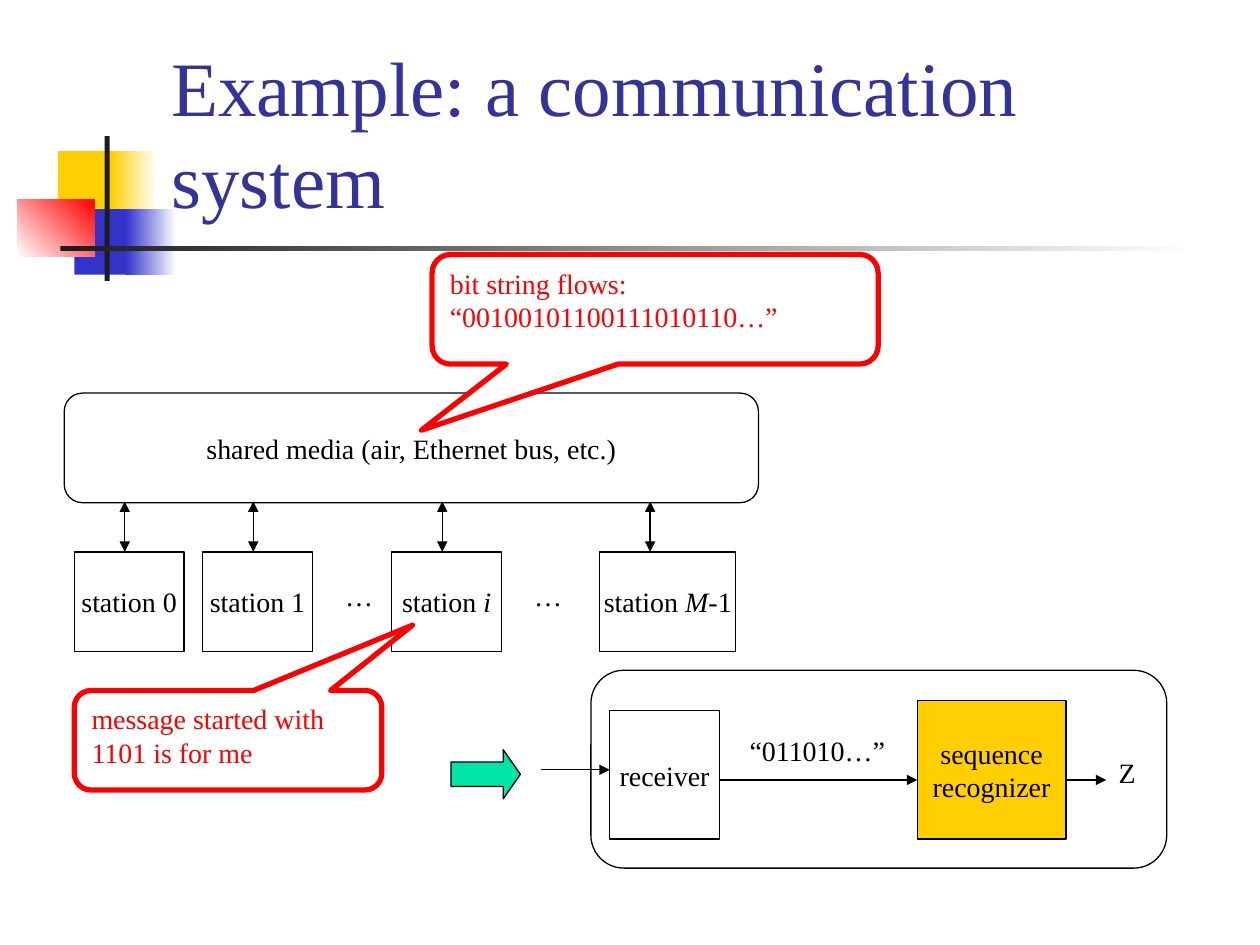
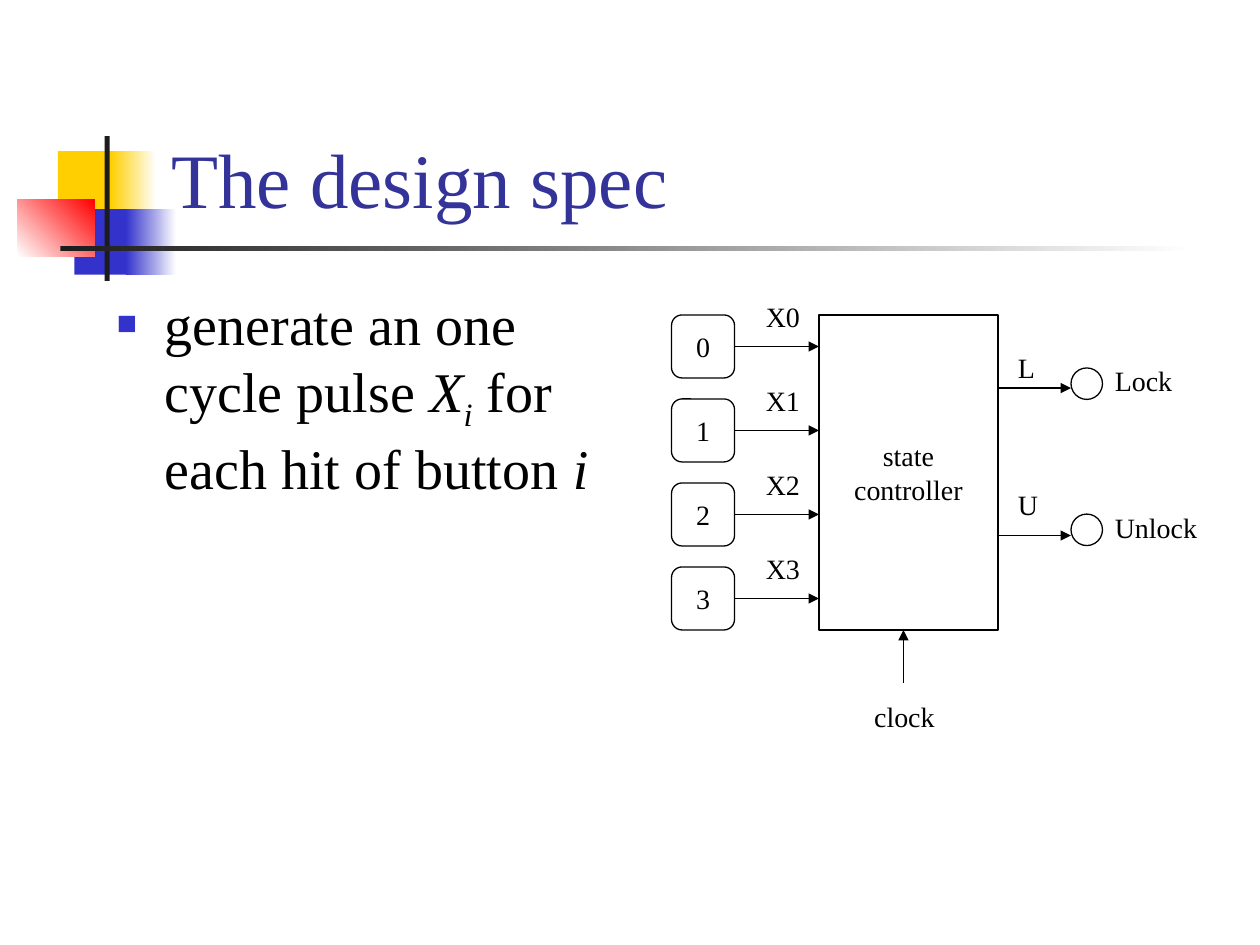
from lxml import etree
from pptx import Presentation
from pptx.dml.color import RGBColor
from pptx.enum.shapes import MSO_CONNECTOR, MSO_SHAPE
from pptx.enum.text import MSO_ANCHOR, MSO_AUTO_SIZE, PP_ALIGN
from pptx.oxml.ns import qn
from pptx.util import Inches, Pt

RECT, ROUND, OVAL = MSO_SHAPE.RECTANGLE, MSO_SHAPE.ROUNDED_RECTANGLE, MSO_SHAPE.OVAL
CALLOUT, RIGHT_ARROW = MSO_SHAPE.ROUNDED_RECTANGULAR_CALLOUT, MSO_SHAPE.RIGHT_ARROW
STRAIGHT = MSO_CONNECTOR.STRAIGHT
TOP, MIDDLE, BOTTOM = MSO_ANCHOR.TOP, MSO_ANCHOR.MIDDLE, MSO_ANCHOR.BOTTOM
LEFT, CENTER = PP_ALIGN.LEFT, PP_ALIGN.CENTER
NO_FIT, GROW = MSO_AUTO_SIZE.NONE, MSO_AUTO_SIZE.SHAPE_TO_FIT_TEXT

FONT = "Times New Roman"
BLACK = RGBColor(0x00, 0x00, 0x00)
WHITE = RGBColor(0xFF, 0xFF, 0xFF)
YELLOW = RGBColor(0xFF, 0xCF, 0x01)
BLUE = RGBColor(0x33, 0x33, 0xCC)
RED = RGBColor(0xFF, 0x00, 0x00)
CHARCOAL = RGBColor(0x1C, 0x1C, 0x1C)
NAVY = RGBColor(0x33, 0x33, 0x99)
GREEN = RGBColor(0x00, 0xE4, 0xA8)


def write(tf, text, size=16, color=BLACK, align=LEFT, anchor=TOP, wrap=False):
    """Fill a text frame; lines become paragraphs and *stars* enclose italics."""
    tf.word_wrap = wrap
    tf.vertical_anchor = anchor
    for n, line in enumerate(text.split("\n")):
        p = tf.paragraphs[0] if n == 0 else tf.add_paragraph()
        p.alignment = align
        for k, part in enumerate(line.split("*")):
            if part:
                r = p.add_run()
                r.text = part
                r.font.name, r.font.size = FONT, Pt(size)
                r.font.color.rgb = color
                r.font.italic = k % 2 == 1


def add_shape(s, kind, box, text="", fill=None, line=BLACK, width=0.75, adjust=(), **fmt):
    sp = s.shapes.add_shape(kind, *map(Inches, box))
    sp.shadow.inherit = False
    for n, value in enumerate(adjust):
        sp.adjustments[n] = value
    if fill is None:
        sp.fill.background()
    else:
        sp.fill.solid()
        sp.fill.fore_color.rgb = fill
    if line is None:
        sp.line.fill.background()
    else:
        sp.line.color.rgb = line
        sp.line.width = Pt(width)
    if text:
        write(sp.text_frame, text, **{"align": CENTER, "anchor": MIDDLE, **fmt})
    return sp


def add_callout(s, box, text, adjust):
    add_shape(s, CALLOUT, box, text, fill=WHITE, line=RED, width=3, adjust=adjust,
              color=RED, align=LEFT, anchor=TOP, wrap=True)


def add_label(s, x, y, width, text):
    tf = s.shapes.add_textbox(*map(Inches, (x, y, width, 0.37))).text_frame
    write(tf, text)
    tf.auto_size = GROW


def add_arrow(s, x1, y1, x2, y2, double=False):
    c = s.shapes.add_connector(STRAIGHT, *map(Inches, (x1, y1, x2, y2)))
    c.line.color.rgb = BLACK
    c.line.width = Pt(0.75)
    for tag in ("a:headEnd", "a:tailEnd") if double else ("a:tailEnd",):
        etree.SubElement(c.get_or_add_ln(), qn(tag), type="triangle")
    etree.SubElement(c.element.spPr, qn("a:effectLst"))
    return c


def add_band(s, box, start, end=None, angle=0):
    sp = add_shape(s, RECT, box, fill=start, line=None)
    if end is not None:
        sp.fill.gradient()
        sp.fill.gradient_angle = angle
        for stop, color in zip(sp.fill.gradient_stops, (start, end)):
            stop.color.rgb = color
    return sp


def decorate_layout(s):
    """Draw the shared bands and move them to the layout of the slide."""
    bands = [
        add_band(s, (0.46, 1.2, 0.48, 0.52), YELLOW),
        add_band(s, (0.88, 1.2, 0.36, 0.52), YELLOW, WHITE),
        add_band(s, (0.59, 1.66, 0.46, 0.52), BLUE),
        add_band(s, (1, 1.66, 0.4, 0.52), BLUE, WHITE),
        add_band(s, (0.14, 1.58, 0.61, 0.46), WHITE, RED, angle=45),
        add_band(s, (0.83, 1.08, 0.04, 1.15), CHARCOAL),
        add_band(s, (0.48, 1.95, 9, 0.04), CHARCOAL, WHITE),
    ]
    for n, band in enumerate(bands, 101):
        band.element.nvSpPr.cNvPr.set("id", str(n))
        s.slide_layout.shapes.element.append(band.element)


def add_slide(prs, title):
    s = prs.slides.add_slide(prs.slide_layouts[5])
    sp = s.shapes.title
    sp.left, sp.top, sp.width, sp.height = map(Inches, (1.26, 0.23, 8.52, 1.6))
    write(sp.text_frame, title, size=44, color=NAVY, anchor=BOTTOM, wrap=True)
    sp.text_frame.auto_size = NO_FIT
    return s


def add_bullet_text(s, box, text):
    tf = s.shapes.add_textbox(*map(Inches, box)).text_frame
    write(tf, text, size=32, wrap=True)
    p = tf.paragraphs[0]
    pPr = p._p.get_or_add_pPr()
    pPr.set("marL", str(Inches(0.38)))
    pPr.set("indent", str(-Inches(0.38)))
    color = etree.SubElement(pPr, qn("a:buClr"))
    etree.SubElement(color, qn("a:srgbClr"), val=str(BLUE))
    etree.SubElement(pPr, qn("a:buSzPct"), val="60000")
    etree.SubElement(pPr, qn("a:buFont"), typeface=FONT)
    etree.SubElement(pPr, qn("a:buChar"), char="■")
    return p


def draw_stations(s):
    add_shape(s, ROUND, (0.51, 3.12, 5.51, 0.87), "shared media (air, Ethernet bus, etc.)")
    stations = [(0.59, 0.87, "0"), (1.61, 0.87, "1"), (3.11, 0.87, "*i*"), (4.76, 1.08, "*M-*1")]
    for x, width, name in stations:
        add_shape(s, RECT, (x, 4.38, width, 0.79), f"station {name}")
        add_arrow(s, x + 0.4, 3.98, x + 0.4, 4.38, double=True)
    for x in (2.64, 4.14):
        add_label(s, x, 4.54, 0.42, "…")
    add_callout(s, (0.59, 5.48, 2.44, 0.79), "message started with 1101 is for me",
                (0.6, -1.156, 0.167))
    add_callout(s, (3.43, 2.02, 3.54, 0.87), "bit string flows: “00100101100111010110…”",
                (-0.524, 1.103, 0.167))


def draw_station_detail(s):
    add_shape(s, ROUND, (4.69, 5.32, 4.57, 1.57))
    add_shape(s, RECT, (4.84, 5.64, 0.87, 1.02), "receiver")
    add_shape(s, RECT, (7.28, 5.56, 1.18, 1.1), "sequence\nrecognizer", fill=YELLOW)
    add_shape(s, RIGHT_ARROW, (3.58, 5.95, 0.55, 0.39), fill=GREEN, adjust=(0.5, 0.349))
    for x1, x2, y in ((4.29, 4.84, 6.11), (5.71, 7.28, 6.19), (8.47, 8.78, 6.19)):
        add_arrow(s, x1, y, x2, y)
    add_label(s, 5.85, 5.77, 1.28, "“011010…”")
    add_label(s, 8.78, 5.95, 0.33, "Z")


def draw_controller(s):
    add_shape(s, RECT, (6.5, 2.5, 1.42, 2.5), "state\ncontroller")
    for n in range(4):
        y = 2.5 + n * 2 / 3
        button = add_shape(s, ROUND, (5.33, y, 0.5, 0.5), str(n))
        pulse = add_arrow(s, 5.83, y + 0.25, 6.5, y + 0.25)
        pulse.begin_connect(button, 3)
        add_label(s, 5.98, y - 0.17, 0.48, f"X{n}")
    outputs = [("L", 2.73, "Lock", 0.7, 2.92, 3.08),
               ("U", 3.82, "Unlock", 0.9, 4.08, 4.25)]
    for signal, signal_y, lamp, lamp_w, lamp_y, arrow_y in outputs:
        add_shape(s, OVAL, (8.5, lamp_y, 0.25, 0.25))
        add_label(s, 8.75, lamp_y - 0.08, lamp_w, lamp)
        add_arrow(s, 7.92, arrow_y, 8.5, arrow_y)
        add_label(s, 7.98, signal_y, 0.37, signal)
    add_arrow(s, 7.17, 5.42, 7.17, 5)
    add_label(s, 6.84, 5.5, 0.7, "clock")


def main():
    prs = Presentation()
    prs.slide_width, prs.slide_height = Inches(10), Inches(7.5)

    s = add_slide(prs, "Example: a communication system")
    decorate_layout(s)
    draw_stations(s)
    draw_station_detail(s)

    s = add_slide(prs, "The design spec")
    p = add_bullet_text(s, (0.83, 2.25, 4.17, 1.83),
                        "generate an one cycle pulse *X**i* for each hit of button *i*")
    p.runs[2]._r.get_or_add_rPr().set("baseline", "-25000")
    draw_controller(s)

    prs.save("out.pptx")


if __name__ == "__main__":
    main()
